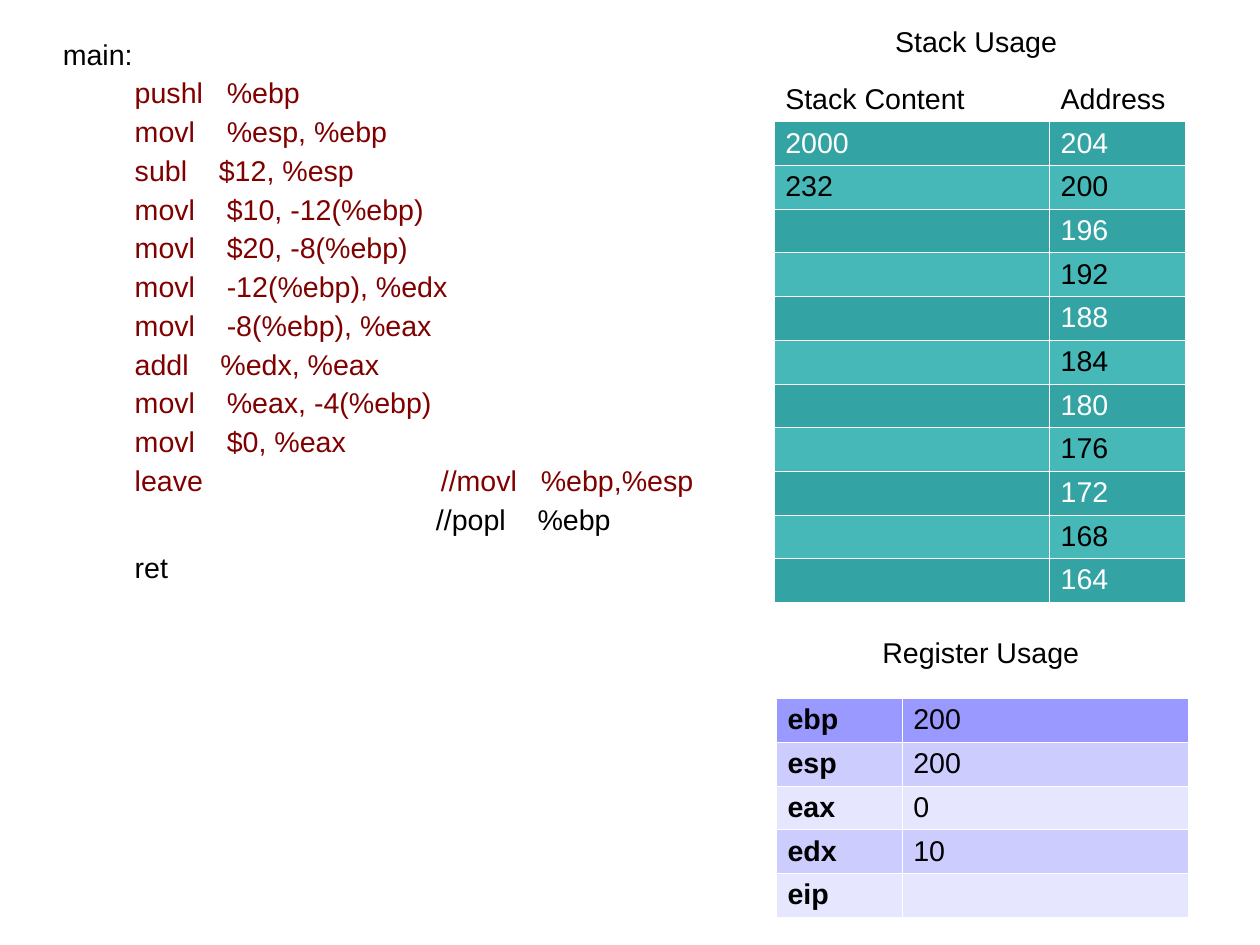
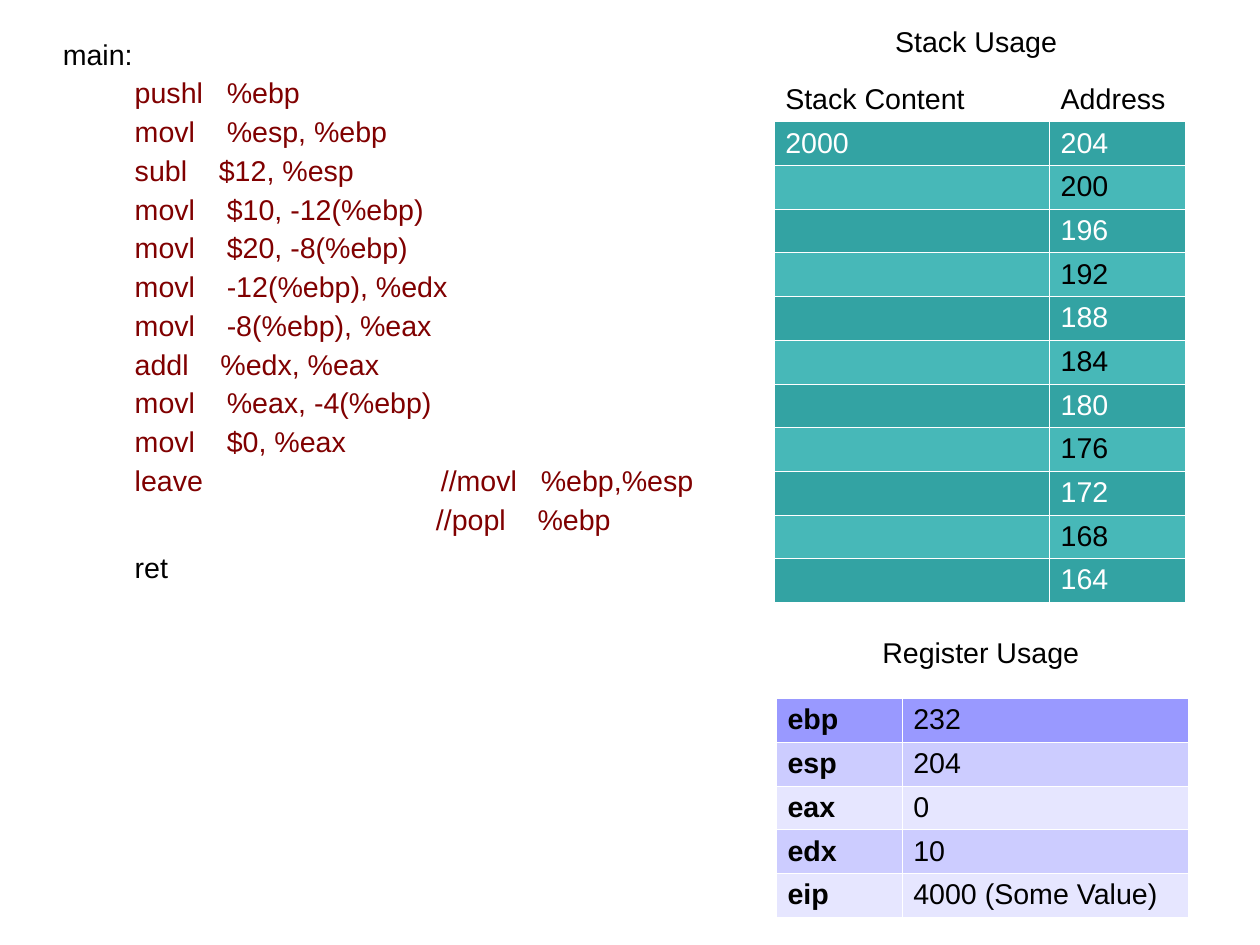
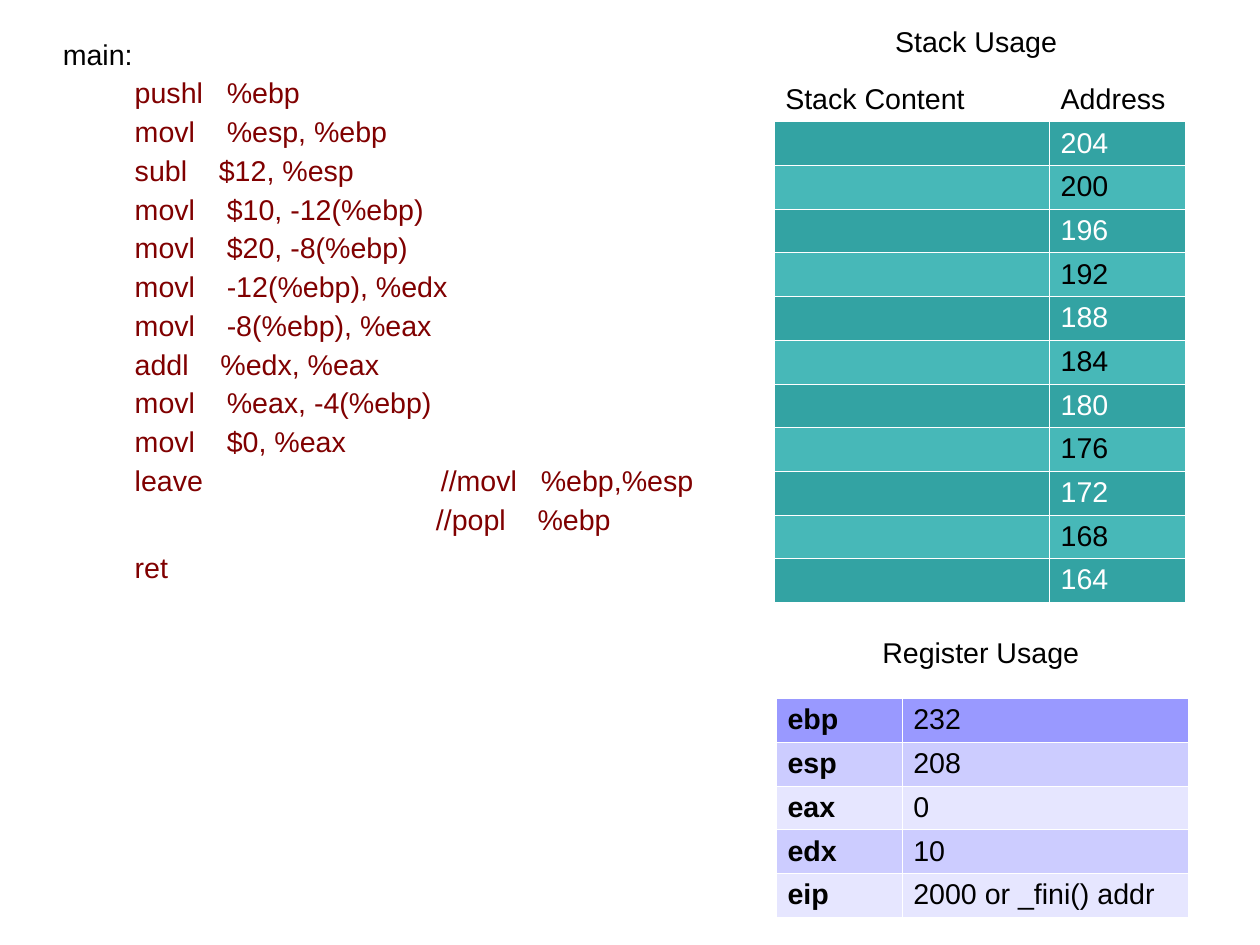
from lxml.etree import SubElement
from pptx import Presentation
from pptx.dml.color import RGBColor
from pptx.enum.text import MSO_AUTO_SIZE, PP_ALIGN
from pptx.oxml.ns import qn
from pptx.util import Inches, Pt

FONT = "Arial"
BLACK, WHITE, EXECUTED = "000000", "FFFFFF", "800000"
STACK_FILLS = ["33A3A3", "47B8B8"]
REGISTER_FILLS = ["9999FF", "CCCCFF", "E6E6FF", "CCCCFF", "E6E6FF"]

INSTRUCTIONS = [
    "  pushl   %ebp",
    "  movl    %esp, %ebp",
    "  subl    $12, %esp",
    "  movl    $10, -12(%ebp)",
    "  movl    $20, -8(%ebp)",
    "  movl    -12(%ebp), %edx",
    "  movl    -8(%ebp), %eax",
    "  addl    %edx, %eax",
    "  movl    %eax, -4(%ebp)",
    "  movl    $0, %eax",
    "  leave                              //movl   %ebp,%esp",
    "                                        //popl    %ebp",
    "  ret",
]
ADDRESSES = range(204, 163, -4)
REGISTERS = ["ebp", "esp", "eax", "edx", "eip"]

STEPS = [
    {"executed": 11, "stack": {204: "2000", 200: "232"},
     "registers": ["200", "200", "0", "10", ""]},
    {"executed": 12, "stack": {204: "2000"},
     "registers": ["232", "204", "0", "10", "4000 (Some Value)"]},
    {"executed": 13, "stack": {},
     "registers": ["232", "208", "0", "10", "2000 or _fini() addr"]},
]

CM_PER_INCH = 2.54
SLIDE_WIDTH = Inches(28 / CM_PER_INCH)
SLIDE_HEIGHT = Inches(21 / CM_PER_INCH)
ROW_HEIGHT = Inches(4.59) // 12


def color(value):
    return RGBColor.from_string(value)


def style(paragraph, text_color=BLACK, bold=False):
    font = paragraph.font
    font.name, font.size, font.bold = FONT, Pt(18), bold
    font.color.rgb = color(text_color)


def add_heading(slide, left, top, text):
    shape = slide.shapes.add_textbox(Inches(left), Inches(top), Inches(3.62), Inches(0.38))
    frame = shape.text_frame
    frame.word_wrap = True
    frame.auto_size = MSO_AUTO_SIZE.SHAPE_TO_FIT_TEXT
    paragraph = frame.paragraphs[0]
    paragraph.text = text
    paragraph.alignment = PP_ALIGN.CENTER
    style(paragraph)


def add_code(slide, executed):
    shape = slide.shapes.add_textbox(Inches(0.55), Inches(0.32), Inches(5.91), Inches(7.56))
    frame = shape.text_frame
    frame.word_wrap = True
    frame.margin_left = frame.margin_top = frame.margin_right = frame.margin_bottom = 0
    frame.paragraphs[0].text = "main:"
    style(frame.paragraphs[0])
    for index, instruction in enumerate(INSTRUCTIONS):
        paragraph = frame.add_paragraph()
        paragraph.text = instruction
        is_last = index == len(INSTRUCTIONS) - 1
        paragraph.space_before = Pt(9 if is_last else 2.8)
        paragraph._p.get_or_add_pPr().set("marL", str(Inches(0.49)))
        style(paragraph, EXECUTED if index < executed else BLACK)


def add_borders(cell):
    properties = cell._tc.get_or_add_tcPr()
    for position, side in enumerate(("lnL", "lnR", "lnT", "lnB")):
        line = SubElement(properties, qn(f"a:{side}"), w=str(Pt(0.06)))
        fill = SubElement(line, qn("a:solidFill"))
        SubElement(fill, qn("a:srgbClr"), val=WHITE)
        properties.insert(position, line)


def add_grid(slide, left, top, widths, rows, bold_first=False):
    shape = slide.shapes.add_table(len(rows), len(widths), Inches(left), Inches(top),
                                   Inches(sum(widths)), ROW_HEIGHT * len(rows))
    table = shape.table
    table.first_row = table.horz_banding = False
    for column, width in zip(table.columns, widths):
        column.width = Inches(width)
    for row, (texts, fill, text_color) in zip(table.rows, rows):
        row.height = ROW_HEIGHT
        for index, (cell, text) in enumerate(zip(row.cells, texts)):
            cell.margin_left = cell.margin_right = Inches(0.1)
            cell.margin_top, cell.margin_bottom = Inches(0.05), Inches(0.03)
            cell.fill.solid()
            cell.fill.fore_color.rgb = color(fill)
            add_borders(cell)
            paragraph = cell.text_frame.paragraphs[0]
            if text:
                paragraph.text = text
            style(paragraph, text_color, bold_first and index == 0)


def stack_rows(contents):
    rows = [(("Stack Content", "Address"), WHITE, BLACK)]
    for index, address in enumerate(ADDRESSES):
        texts = (contents.get(address, ""), str(address))
        rows.append((texts, STACK_FILLS[index % 2], (WHITE, BLACK)[index % 2]))
    return rows


def register_rows(values):
    return [(texts, fill, BLACK)
            for texts, fill in zip(zip(REGISTERS, values), REGISTER_FILLS)]


def main():
    presentation = Presentation()
    presentation.slide_width = SLIDE_WIDTH
    presentation.slide_height = SLIDE_HEIGHT
    for step in STEPS:
        slide = presentation.slides.add_slide(presentation.slide_layouts[6])
        add_grid(slide, 6.79, 6.11, (1.1, 2.5), register_rows(step["registers"]), True)
        add_code(slide, step["executed"])
        add_grid(slide, 6.77, 0.68, (2.41, 1.19), stack_rows(step["stack"]))
        add_heading(slide, 6.73, 0.16, "Stack Usage")
        add_heading(slide, 6.77, 5.51, "Register Usage")
    presentation.save("out.pptx")


if __name__ == "__main__":
    main()
